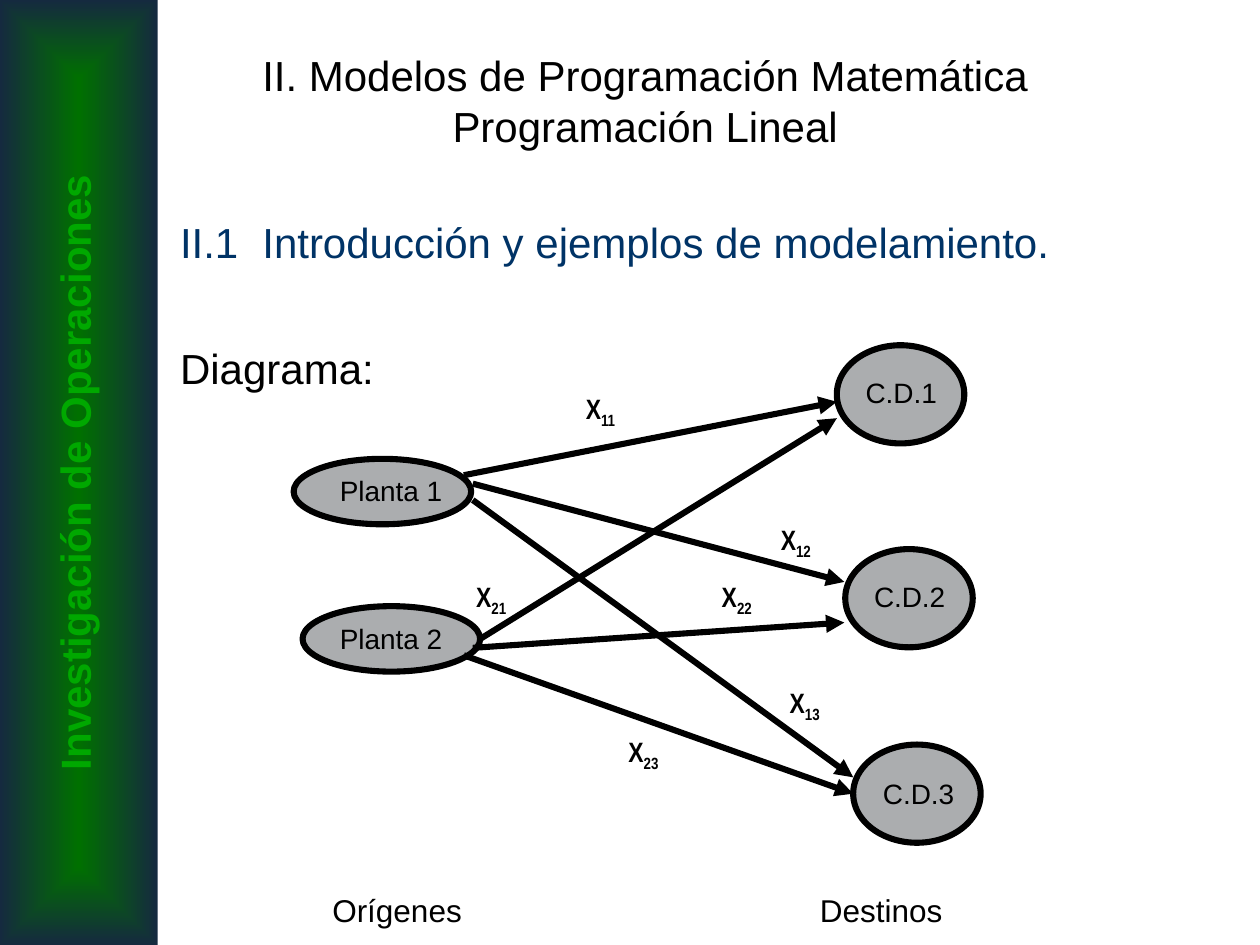
"""Build the transport diagram slide of the linear programming course."""
from lxml import etree
from pptx import Presentation
from pptx import util as u
from pptx.dml.color import RGBColor
from pptx.enum import shapes, text
from pptx.oxml import parse_xml
from pptx.oxml.ns import nsdecls, qn


def paint(color, value):
    """Set a colour from a hex string."""
    color.rgb = RGBColor.from_string(value)


def write(frame, content, size=16, color="000000", font="Arial", bold=False,
          align=text.PP_ALIGN.LEFT, before=0, tab=None, subscript=None):
    """Write one formatted paragraph into a text frame."""
    frame.word_wrap = True
    para = frame.add_paragraph() if frame.text else frame.paragraphs[0]
    para.text = content
    para.alignment = align
    para.space_before = u.Pt(before)
    if tab:
        stops = etree.SubElement(para._p.get_or_add_pPr(), qn("a:tabLst"))
        etree.SubElement(stops, qn("a:tab"), pos=str(u.Cm(tab)), algn="l")
    if subscript:
        span = para.add_run()
        span.text = subscript
        span._r.get_or_add_rPr().set("baseline", "-25000")
    for span in para.runs:
        span.font.size = u.Pt(size)
        span.font.name = font
        span.font.bold = bold
        paint(span.font.color, color)


deck = Presentation()
deck.slide_width, deck.slide_height = u.Cm(25.4), u.Cm(19.05)
page = deck.slides.add_slide(deck.slide_layouts[5])

band = page.shapes.add_shape(shapes.MSO_SHAPE.RECTANGLE, 0, 0, u.Cm(3.18), u.Cm(19.05))
band.shadow.inherit = False
band.line.fill.background()
band.fill.gradient()
for stop, value in zip(band.fill.gradient_stops, ("007000", "152A3F")):
    paint(stop.color, value)
gradient = band._element.spPr.find(qn("a:gradFill"))
gradient.replace(gradient.find(qn("a:lin")), parse_xml(
    f'<a:path {nsdecls("a")} path="rect">'
    '<a:fillToRect l="50000" t="50000" r="50000" b="50000"/></a:path>'))

course = page.shapes.add_textbox(u.Cm(-8.03), u.Cm(8.89), u.Cm(19.05), u.Cm(1.27))
course.rotation = 270
write(course.text_frame, "Investigación de Operaciones", size=24, color="00A800",
      bold=True, align=text.PP_ALIGN.CENTER)

title = page.shapes.title
title.left, title.top, title.width, title.height = map(u.Cm, (3.38, 0.43, 19.25, 3.18))
title.text_frame.vertical_anchor = text.MSO_ANCHOR.MIDDLE
write(title.text_frame, "II. Modelos de Programación Matemática\nProgramación Lineal",
      size=24, align=text.PP_ALIGN.CENTER)

body = page.shapes.add_textbox(u.Cm(3.38), u.Cm(4.24), u.Cm(20.12), u.Cm(13.97))
write(body.text_frame, "II.1\tIntroducción y ejemplos de modelamiento.", size=24,
      color="003366", tab=1.66)
write(body.text_frame, "Diagrama:", size=24, before=43)

plant, center = (3.58, 1.32), (2.57, 1.98)
plant_label, center_label = (2.74, 0.94), (2.21, 0.94)
nodes = [
    ("Planta 1", (5.92, 9.25), plant, (6.6, 9.42), plant_label),
    ("Planta 2", (6.1, 12.22), plant, (6.6, 12.4), plant_label),
    ("C.D.1", (16.87, 6.96), center, (17.2, 7.44), center_label),
    ("C.D.2", (17.04, 11.07), center, (17.37, 11.56), center_label),
    ("C.D.3", (17.2, 15.01), center, (17.55, 15.52), center_label),
]
for name, corner, size, label_corner, label_size in nodes:
    node = page.shapes.add_shape(shapes.MSO_SHAPE.OVAL, *map(u.Cm, corner + size))
    node.shadow.inherit = False
    node.fill.solid()
    paint(node.fill.fore_color, "ABADAF")
    paint(node.line.color, "000000")
    node.line.width = u.Pt(3.5)

routes = [
    ("11", (9.35, 9.58), (16.87, 8.1), (11.56, 7.77)),
    ("12", (9.53, 9.75), (17.02, 11.73), (15.49, 10.41)),
    ("13", (9.53, 10.08), (17.2, 15.67), (15.67, 13.69)),
    ("21", (9.68, 12.88), (16.87, 8.43), (9.35, 11.56)),
    ("22", (9.53, 13.06), (17.02, 12.55), (14.3, 11.56)),
    ("23", (9.35, 13.21), (17.2, 16), (12.42, 14.68)),
]
for index, start, end, label_corner in routes:
    arrow = page.shapes.add_connector(shapes.MSO_CONNECTOR.STRAIGHT, *map(u.Cm, start + end))
    paint(arrow.line.color, "000000")
    arrow.line.width = u.Pt(3.5)
    etree.SubElement(arrow.line._get_or_add_ln(), qn("a:tailEnd"), type="triangle")
    etree.SubElement(arrow._element.spPr, qn("a:effectLst"))
    label = page.shapes.add_textbox(*map(u.Cm, label_corner + (1.37, 1.04)))
    write(label.text_frame, "X", font="Arial Narrow", bold=True, subscript=index)

for name, corner, size, label_corner, label_size in nodes:
    label = page.shapes.add_textbox(*map(u.Cm, label_corner + label_size))
    write(label.text_frame, name)

sides = page.shapes.add_textbox(u.Cm(6.45), u.Cm(17.83), u.Cm(13.67), u.Cm(1.02))
write(sides.text_frame, "Orígenes\tDestinos", size=18, tab=9.83)

deck.save("out.pptx")
